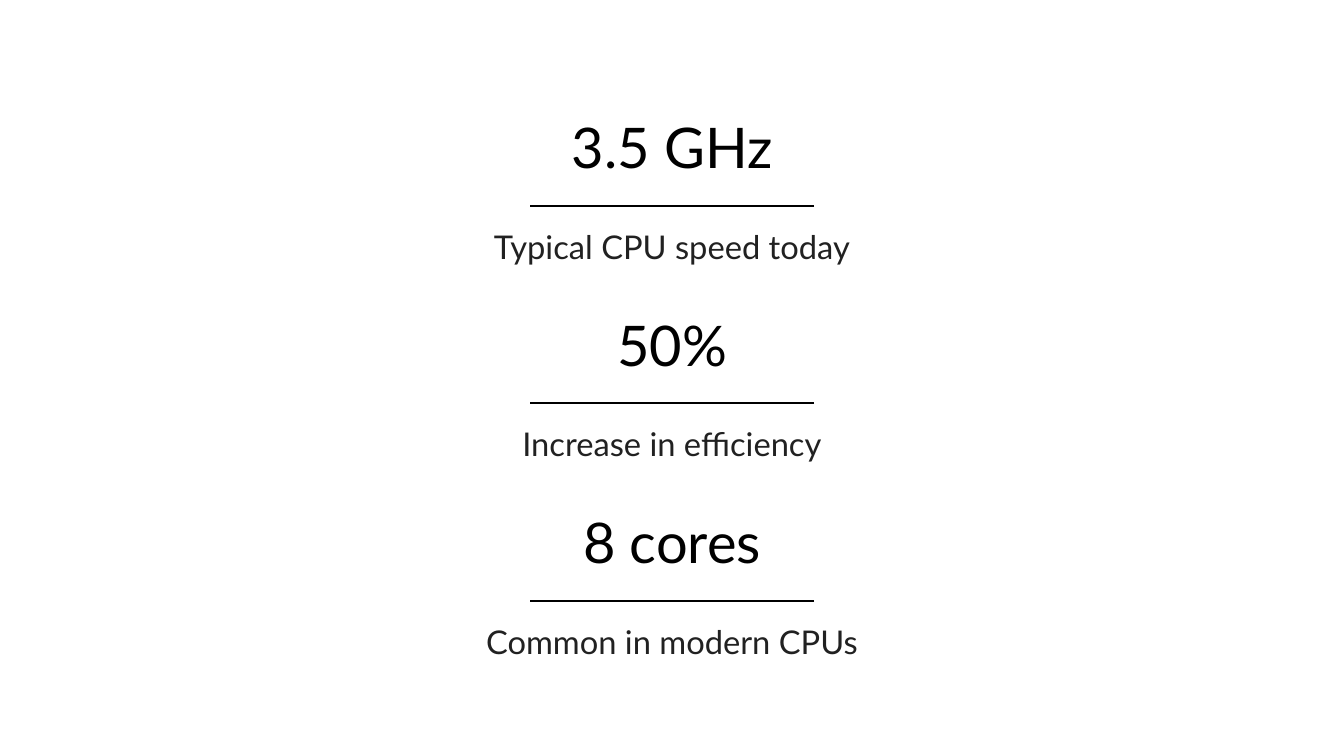
from lxml.etree import SubElement
from pptx import Presentation
from pptx.dml.color import RGBColor
from pptx.enum.shapes import MSO_CONNECTOR
from pptx.enum.text import MSO_AUTO_SIZE, PP_ALIGN
from pptx.oxml.ns import qn
from pptx.util import Emu, Pt

PX = 9525  # EMU per px, 96 px to the inch
BLACK = RGBColor(0x00, 0x00, 0x00)
DARK_GREY = RGBColor(0x21, 0x21, 0x21)
FONT = "Lato"

STATS = [
    ("3.5 GHz", "Typical CPU speed today"),
    ("50%", "Increase in efficiency"),
    ("8 cores", "Common in modern CPUs"),
]
STAT_LEFT, STAT_TOP, STAT_WIDTH, STAT_PITCH = 372, 169, 1176, 282
RULE_WIDTH = 406


def px(n):
    return Emu(int(n * PX))


def add_text(shapes, x, y, w, h, text, size, leading, color):
    tf = shapes.add_textbox(px(x), px(y), px(w), px(h)).text_frame
    tf.margin_left = tf.margin_right = tf.margin_top = tf.margin_bottom = 0
    tf.word_wrap = True
    tf.auto_size = MSO_AUTO_SIZE.SHAPE_TO_FIT_TEXT
    p = tf.paragraphs[0]
    p.text = text
    p.alignment = PP_ALIGN.CENTER
    p.line_spacing = Pt(leading)
    p.font.name = FONT
    p.font.size = Pt(size)
    p.font.color.rgb = color


def add_rule(shapes, x, y, w):
    line = shapes.add_connector(MSO_CONNECTOR.STRAIGHT, px(x + w), px(y), px(x), px(y))
    line.line.color.rgb = BLACK
    line.line.width = Pt(2)
    SubElement(line._element.spPr, qn("a:effectLst"))


def add_stat(s, x, y, w, figure, label):
    """Group a large figure, a centred rule and the label below it."""
    shapes = s.shapes.add_group_shape().shapes
    add_rule(shapes, x + (w - RULE_WIDTH) // 2, y + 125, RULE_WIDTH)
    add_text(shapes, x, y, w, 91, figure, 60, 66, BLACK)
    add_text(shapes, x, y + 155, w, 57, label, 35, 42, DARK_GREY)


def main():
    prs = Presentation()
    prs.slide_width, prs.slide_height = px(1920), px(1080)
    s = prs.slides.add_slide(prs.slide_layouts[6])
    for i, (figure, label) in enumerate(STATS):
        add_stat(s, STAT_LEFT, STAT_TOP + i * STAT_PITCH, STAT_WIDTH, figure, label)
    prs.save("out.pptx")


if __name__ == "__main__":
    main()
